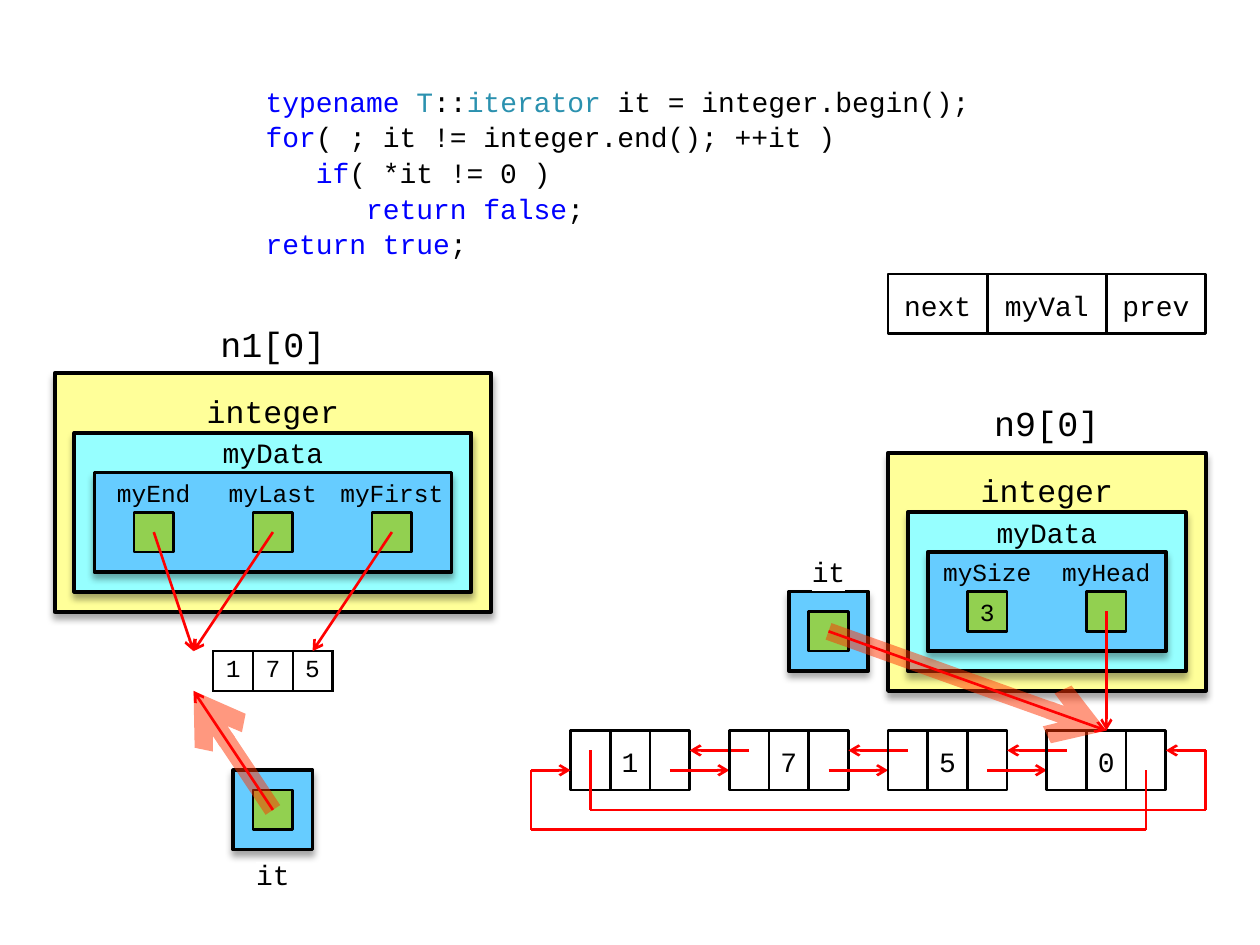
from itertools import pairwise

from lxml import etree
from pptx import Presentation
from pptx.dml.color import RGBColor
from pptx.enum.shapes import MSO_CONNECTOR, MSO_SHAPE
from pptx.enum.text import MSO_ANCHOR, PP_ALIGN
from pptx.oxml.ns import qn
from pptx.util import Pt

STRAIGHT = MSO_CONNECTOR.STRAIGHT
RECTANGLE, PANEL = MSO_SHAPE.RECTANGLE, MSO_SHAPE.FLOWCHART_PROCESS
CENTER, MIDDLE, TOP = PP_ALIGN.CENTER, MSO_ANCHOR.MIDDLE, MSO_ANCHOR.TOP

BLACK = RGBColor(0x00, 0x00, 0x00)
BLUE = RGBColor(0x00, 0x00, 0xFF)
TEAL = RGBColor(0x2B, 0x91, 0xAF)
RED = RGBColor(0xFF, 0x00, 0x00)
ORANGE = RGBColor(0xFF, 0x33, 0x00)
YELLOW = RGBColor(0xFF, 0xFF, 0x99)
CYAN = RGBColor(0x96, 0xFF, 0xFF)
SKY = RGBColor(0x66, 0xCC, 0xFF)
GREEN = RGBColor(0x92, 0xD0, 0x50)
WHITE = RGBColor(0xFF, 0xFF, 0xFF)

FONT = "Courier New"
UNIT, LEFT, UPPER = 11.34, 31.2, 156.65

CODE = [
    [("typename ", BLUE), ("T", TEAL), ("::", BLACK), ("iterator", TEAL),
     (" it = integer.begin();", BLACK)],
    [("for", BLUE), ("( ; it != integer.end(); ++it )", BLACK)],
    [("   ", BLACK), ("if", BLUE), ("( *it != 0 )", BLACK)],
    [("      ", BLACK), ("return false", BLUE), (";", BLACK)],
    [("return true", BLUE), (";", BLACK)],
]
ARRAY = ["1", "7", "5"]
NODES = ["1", "7", "5", "0"]
LEGEND = [("next", 42, 5), ("myVal", 47, 6), ("prev", 53, 5)]
CONTAINERS = [
    ("n1[0]", 0, 5, [("myEnd", ""), ("myLast", ""), ("myFirst", "")]),
    ("n9[0]", 42, 9, [("mySize", "3"), ("myHead", "")]),
]
ITERATORS = [
    (37, 16, 14, MIDDLE, (53, 23)),
    (9, 25, 29, TOP, (7, 21)),
]
RINGS = [
    [(55, 25), (55, 28), (24, 28), (24, 25), (26, 25)],
    [(27, 24), (27, 27), (58, 27), (58, 24), (56, 24)],
]
POINTERS = [
    ((17, 13), (13, 19)),
    ((11, 13), (7, 19)),
    ((5, 13), (7, 19)),
    ((53, 17), (53, 23)),
]

deck = Presentation()
deck.slide_width, deck.slide_height = Pt(720), Pt(540)
page = deck.slides.add_slide(deck.slide_layouts[6])


def at(column, row):
    return Pt(round(LEFT + column * UNIT, 2)), Pt(round(UPPER + row * UNIT, 2))


def area(column, row, width, height):
    return *at(column, row), Pt(round(width * UNIT, 2)), Pt(round(height * UNIT, 2))


def style(span, size, color=BLACK):
    span.font.name = FONT
    span.font.size = Pt(size)
    span.font.color.rgb = color


def add_color(parent, color):
    return etree.SubElement(parent, qn("a:srgbClr"), val=str(color))


def set_layout(holder, top, bottom, anchor=MIDDLE):
    holder.vertical_anchor = anchor
    holder.margin_left = holder.margin_right = Pt(2.88)
    holder.margin_top, holder.margin_bottom = Pt(top), Pt(bottom)


def set_text(frame, text, size):
    frame.text = text
    para = frame.paragraphs[0]
    para.alignment = CENTER
    for span in para.runs:
        style(span, size)


def write(box, text, size, top=3.6, bottom=3.6, anchor=MIDDLE):
    box.text_frame.word_wrap = True
    set_layout(box.text_frame, top, bottom, anchor)
    set_text(box.text_frame, text, size)


def add_label(text, place, size, top=3.6, bottom=3.6, anchor=MIDDLE):
    box = page.shapes.add_textbox(*area(*place))
    write(box, text, size, top, bottom, anchor)
    return box


def add_box(place, fill=None, width=1.5, kind=RECTANGLE):
    box = page.shapes.add_shape(kind, *area(*place))
    box.shadow.inherit = False
    if fill is None:
        box.fill.background()
    else:
        box.fill.solid()
        box.fill.fore_color.rgb = fill
    box.line.color.rgb = BLACK
    box.line.width = Pt(width)
    return box


def add_panel(place, fill, width):
    box = add_box(place, fill, width, PANEL)
    effects = box.element.spPr.find(qn("a:effectLst"))
    shadow = etree.SubElement(effects, qn("a:outerShdw"), blurRad=str(Pt(4)),
                              dist=str(Pt(3)), dir="5400000", rotWithShape="0")
    etree.SubElement(add_color(shadow, BLACK), qn("a:alpha"), val="35000")


def add_line(start, end, arrow=True, color=RED, width=1.5, alpha=None):
    line = page.shapes.add_connector(STRAIGHT, *at(*start), *at(*end))
    line.line.color.rgb = color
    line.line.width = Pt(width)
    outline = line.get_or_add_ln()
    if alpha:
        etree.SubElement(outline.find(".//" + qn("a:srgbClr")), qn("a:alpha"), val=alpha)
    if arrow:
        etree.SubElement(outline, qn("a:tailEnd"), type="arrow")
    etree.SubElement(line.element.spPr, qn("a:effectLst"))


def add_code():
    frame = page.shapes.add_textbox(Pt(144.7), Pt(43.2), Pt(430.6), Pt(102.2)).text_frame
    frame.word_wrap = True
    frame.margin_top = Pt(5)
    for index, pieces in enumerate(CODE):
        para = frame.add_paragraph() if index else frame.paragraphs[0]
        para.space_before = Pt(1.2)
        for text, color in pieces:
            span = para.add_run()
            span.text = text
            style(span, 16, color)


def add_array():
    table = page.shapes.add_table(1, len(ARRAY), *area(8, 19, 2 * len(ARRAY), 2)).table
    table.first_row = table.horz_banding = False
    for cell, value in zip(table.iter_cells(), ARRAY):
        set_layout(cell, 2.88, 2.88)
        set_text(cell.text_frame, value, 14)
        cell.fill.background()
        properties = cell._tc.get_or_add_tcPr()
        for index, side in enumerate(("lnL", "lnR", "lnT", "lnB")):
            border = etree.Element(qn("a:" + side), w=str(Pt(1.5)))
            add_color(etree.SubElement(border, qn("a:solidFill")), BLACK)
            properties.insert(index, border)


def add_list():
    for index, value in enumerate(NODES):
        column = 26 + 8 * index
        for offset, text in zip((0, 2, 4), ("", value, "")):
            write(add_box((column + offset, 23, 2, 3)), text, 16, 4.3, 2.9)
        if index < len(NODES) - 1:
            add_line((column + 9, 24), (column + 6, 24))
            add_line((column + 5, 25), (column + 8, 25))
    for ring in RINGS:
        for start, end in pairwise(ring):
            add_line(start, end, arrow=end == ring[-1])
    for text, column, width in LEGEND:
        write(add_box((column, 0, width, 3)), text, 16, 4.3, 2.9)


def add_container(title, column, row, members):
    inner = 6 * len(members)
    add_panel((column, row, inner + 4, 12), YELLOW, 2.25)
    add_panel((column + 1, row + 3, inner + 2, 8), CYAN, 2.25)
    add_panel((column + 2, row + 5, inner, 5), SKY, 2)
    middle = column + inner // 2 - 2
    add_label(title, (middle, row - 3, 8, 3), 20)
    add_label("integer", (middle, row, 8, 3), 18, 8.6, 0)
    add_label("myData", (middle, row + 3, 8, 2), 16, 0, 0)
    for index, (name, value) in enumerate(members):
        left = column + 2 + 6 * index
        add_label(name, (left, row + 5, 6, 2), 14)
        write(add_box((left + 2, row + 7, 2, 2), GREEN), value, 14)


def add_iterator(column, row, label_row, anchor, target):
    add_panel((column, row, 4, 4), SKY, 2)
    add_box((column + 1, row + 1, 2, 2), GREEN)
    top, bottom = (4.3, 0) if anchor == TOP else (3.6, 3.6)
    label = add_label("it", (column, label_row, 4, 2), 16, top, bottom, anchor)
    fill = label.element.find(".//" + qn("a:rPr")).find(qn("a:solidFill"))
    highlight = etree.Element(qn("a:highlight"))
    add_color(highlight, WHITE)
    fill.addnext(highlight)
    start = (column + 2, row + 2)
    add_line(start, target, color=ORANGE, width=10, alpha="50000")
    add_line(start, target)


add_code()
add_array()
add_list()
for container in CONTAINERS:
    add_container(*container)
for iterator in ITERATORS:
    add_iterator(*iterator)
for start, end in POINTERS:
    add_line(start, end)
deck.save("out.pptx")
